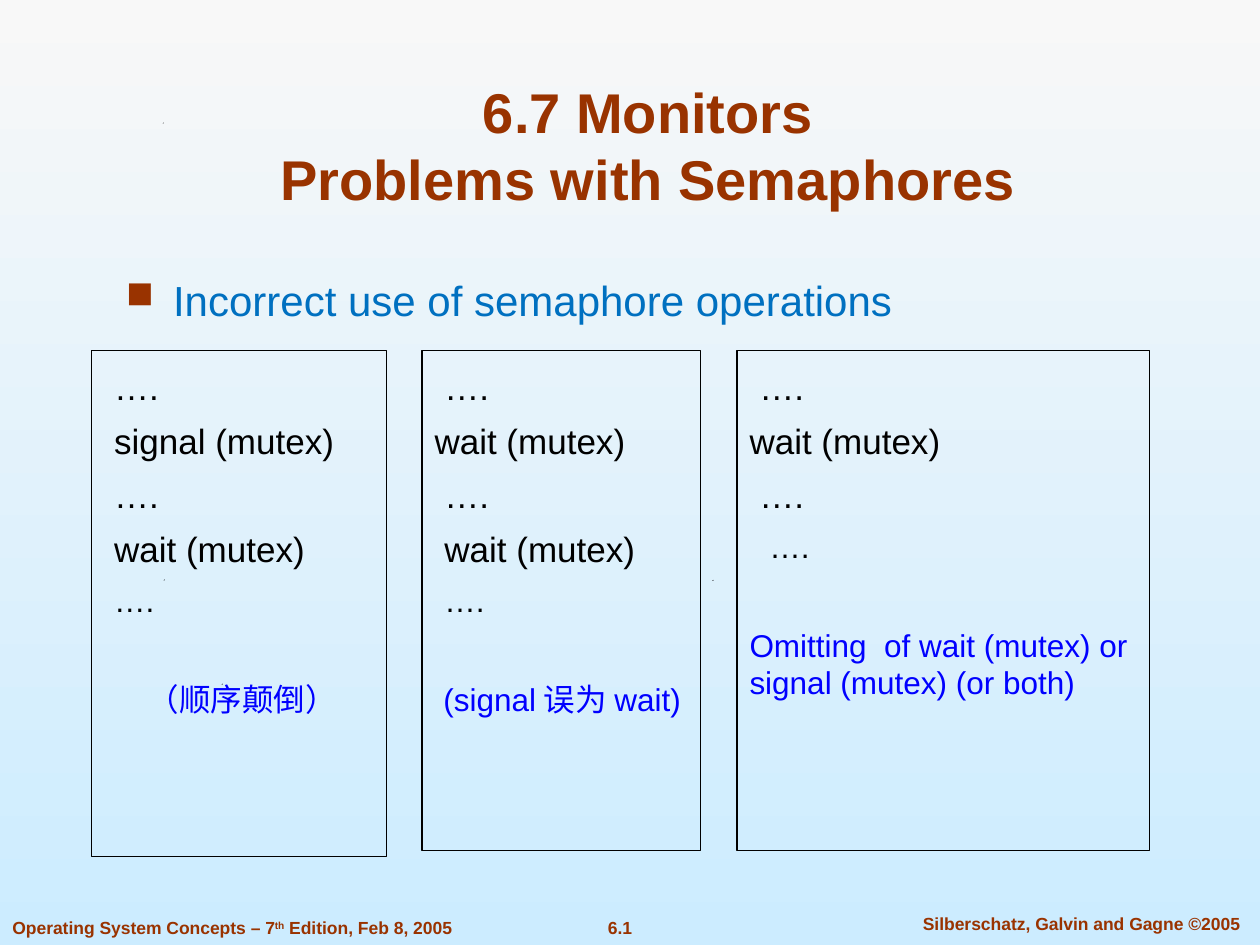
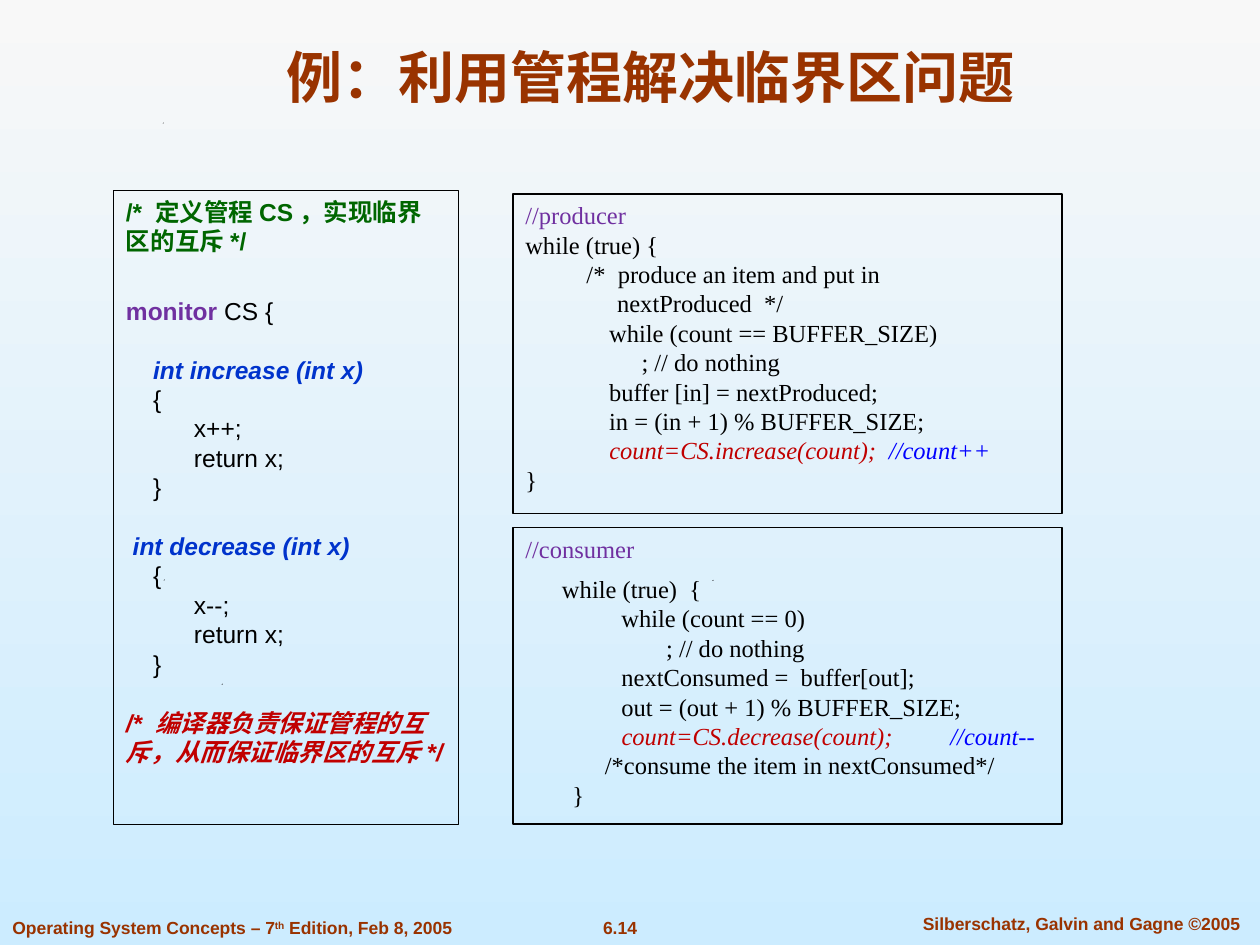
from dataclasses import dataclass

from lxml import etree
from pptx import Presentation
from pptx.dml.color import RGBColor
from pptx.enum.shapes import MSO_SHAPE as Shape
from pptx.enum.text import MSO_ANCHOR as Anchor, MSO_AUTO_SIZE as AutoSize, PP_ALIGN as Align
from pptx.oxml.ns import qn
from pptx.util import Cm, Pt


@dataclass(frozen=True)
class Theme:
    # Colours
    sky_top: str = "F8F8F8"
    sky_bottom: str = "CCECFF"
    brand: str = "993300"
    heading: str = "0070C0"
    ink: str = "000000"
    blue: str = "0000FF"
    purple: str = "7030A0"
    red: str = "C00000"
    green: str = "006600"
    method: str = "0033CC"
    # Fonts and type sizes
    sans: str = "Arial"
    serif: str = "Times New Roman"
    title: int = 32
    bullet: int = 24
    operation: int = 20
    caption: int = 18
    code: int = 14
    footer: int = 10
    # Spacing
    code_gap: float = 16.8
    hanging: float = 0.95


THEME = Theme()

# Formats of code segments
CODE_STYLES = {
    "plain": {},
    "comment": dict(color=THEME.purple),
    "call": dict(color=THEME.red, italic=True),
    "effect": dict(color=THEME.blue, italic=True),
    "spaced": dict(before=6),
    "note": dict(color=THEME.green, bold=True, hanging=0),
    "keyword": dict(color=THEME.purple, bold=True, before=23),
    "method": dict(color=THEME.method, bold=True, italic=True, before=THEME.code_gap),
    "warning": dict(color=THEME.red, bold=True, italic=True, hanging=0,
                    before=THEME.code_gap),
}


def method_lines(name, statement):
    """Lines of one monitor procedure."""
    return [
        [("method", name)],
        "    {",
        f"          {statement}",
        "          return x;",
        "    }",
    ]


MONITOR_CODE = [
    [("note", "/* 定义管程CS，实现临界区的互斥*/")],
    [("keyword", "monitor "), ("plain", "CS {")],
    *method_lines("    int increase (int x)", "x++;"),
    *method_lines(" int decrease (int x)", "x--;"),
    [("warning", "/* 编译器负责保证管程的互斥，从而保证临界区的互斥*/")],
]

PRODUCER_CODE = [
    [("comment", "//producer")],
    "while (true) {",
    "          /*  produce an item and put in",
    "               nextProduced  */",
    "\t      while (count == BUFFER_SIZE)",
    "\t\t ; // do nothing",
    "\t      buffer [in] = nextProduced;",
    "\t      in = (in + 1) % BUFFER_SIZE;",
    [("plain", "\t      "), ("call", "count=CS.increase(count);  "), ("effect", "//count++")],
    "}",
]

CONSUMER_CODE = [
    [("comment", "//consumer")],
    [("spaced", "      while (true)  {")],
    "\t        while (count == 0)",
    "                       ; // do nothing",
    "\t        nextConsumed =  buffer[out];",
    "\t        out = (out + 1) % BUFFER_SIZE;",
    [("plain", "\t        "), ("call", "count=CS.decrease(count); \t"), ("effect", "//count--")],
    "             /*consume the item in nextConsumed*/",
    "\t}",
]


def rgb(color):
    return RGBColor.from_string(color)


def write(frame, text, *, size, color=THEME.ink, font=THEME.sans, bold=False, italic=False,
          align=Align.LEFT, before=0, left=0, hanging=0, same_line=False, raised=False):
    """Add text as a new paragraph, or as a further run of the last one."""
    paragraph = frame.paragraphs[-1]
    if not same_line:
        if paragraph.runs:
            paragraph = frame.add_paragraph()
        paragraph.alignment = align
        paragraph.space_before = Pt(before)
        properties = paragraph._p.get_or_add_pPr()
        properties.set("marL", str(Cm(left + hanging)))
        properties.set("indent", str(-Cm(hanging)))
    run = paragraph.add_run()
    run.text = text
    run.font.name = font
    run.font.size = Pt(size)
    run.font.bold = bold
    run.font.italic = italic
    run.font.color.rgb = rgb(color)
    if raised:
        run._r.get_or_add_rPr().set("baseline", "30000")
    return paragraph


def add_bullet(paragraph, character, color, percent):
    properties = paragraph._p.get_or_add_pPr()
    bullet_color = etree.SubElement(properties, qn("a:buClr"))
    etree.SubElement(bullet_color, qn("a:srgbClr"), val=color)
    etree.SubElement(properties, qn("a:buSzPct"), val=str(percent * 1000))
    etree.SubElement(properties, qn("a:buChar"), char=character)


def add_text_frame(slide, left, top, width, height):
    box = slide.shapes.add_textbox(Cm(left), Cm(top), Cm(width), Cm(height))
    box.text_frame.word_wrap = True
    return box.text_frame


def add_outlined_box(slide, left, top, width, height):
    """Draw an unfilled box and return its text frame."""
    box = slide.shapes.add_shape(Shape.RECTANGLE, Cm(left), Cm(top), Cm(width), Cm(height))
    box.shadow.inherit = False
    box.fill.background()
    box.line.color.rgb = rgb(THEME.ink)
    box.line.width = Pt(0.75)
    frame = box.text_frame
    frame.word_wrap = True
    frame.vertical_anchor = Anchor.TOP
    return frame


def add_speck(slide, left, top):
    size = Cm(0.02)
    x, y = Cm(left), Cm(top)
    builder = slide.shapes.build_freeform(x, y + size)
    builder.add_line_segments([(x + size, y), (x + size, y + size)], close=True)
    speck = builder.convert_to_shape()
    speck.shadow.inherit = False
    speck.fill.solid()
    speck.fill.fore_color.rgb = rgb(THEME.ink)
    speck.line.fill.background()


def add_footers(slide, number):
    style = dict(size=THEME.footer, color=THEME.brand, bold=True)
    write(add_text_frame(slide, 11.8, 18.36, 1.4, 0.69), number, align=Align.CENTER, **style)
    write(add_text_frame(slide, 18.03, 18.29, 7.54, 0.69),
          "Silberschatz, Galvin and Gagne ©2005", align=Align.CENTER, **style)
    edition = add_text_frame(slide, 0, 18.36, 9.6, 0.69)
    write(edition, "Operating System Concepts – 7", **style)
    write(edition, "th", same_line=True, raised=True, **style)
    write(edition, " Edition, Feb 8, 2005", same_line=True, **style)


def set_background(master):
    fill = master.background.fill
    fill.gradient()
    fill.gradient_angle = 270
    for stop, color, position in zip(fill.gradient_stops,
                                     (THEME.sky_top, THEME.sky_bottom), (0, 1)):
        stop.color.rgb = rgb(color)
        stop.position = position


def add_slide(presentation, number, title_lines, left, top, height):
    """Start a slide with the shared specks, footers and title style."""
    slide = presentation.slides.add_slide(presentation.slide_layouts[5])
    for speck in ((4.47, 13.78), (3.3, 11.68), (14.36, 11.69), (3.28, 2.47)):
        add_speck(slide, *speck)
    add_footers(slide, number)
    title = slide.shapes.title
    title.left, title.top, title.width, title.height = map(Cm, (left, top, 22.43, height))
    frame = title.text_frame
    frame.auto_size = AutoSize.NONE
    frame.vertical_anchor = Anchor.BOTTOM
    for line in title_lines:
        write(frame, line, size=THEME.title, color=THEME.brand, bold=True, align=Align.CENTER)
    return slide


def add_misuse_box(slide, place, operations, caption, caption_left):
    """Box with (indent, text) operations, a closing ellipsis and a caption."""
    frame = add_outlined_box(slide, *place)
    frame.margin_top = Cm(0.3)
    last = len(operations) - 1
    for index, (left, text) in enumerate(operations):
        size = THEME.caption if index == last else THEME.operation
        write(frame, text, size=size, left=left, before=0.35 * size if index else 0)
    write(frame, caption, size=THEME.caption, color=THEME.blue, left=caption_left, before=35)


def add_code_box(slide, place, lines, font):
    """Box of code; a line is plain text or a list of (style, text) segments."""
    frame = add_outlined_box(slide, *place)
    for line in lines:
        segments = [("plain", line)] if isinstance(line, str) else line
        for index, (style, text) in enumerate(segments):
            options = dict(hanging=THEME.hanging) | CODE_STYLES[style]
            write(frame, text, size=THEME.code, font=font, same_line=index > 0, **options)


def build_semaphore_slide(presentation):
    slide = add_slide(presentation, "6.1", ["6.7 Monitors", "Problems with Semaphores"],
                      1.85, 1.2, 3.2)
    heading = write(add_text_frame(slide, 2.29, 5.41, 19.33, 1.6),
                    "Incorrect use of semaphore operations", size=THEME.bullet,
                    color=THEME.heading, hanging=THEME.hanging)
    add_bullet(heading, "■", THEME.brand, 90)

    # Three kinds of misuse, side by side
    dots, step = "….", 0.2
    wait = "wait (mutex)"
    add_misuse_box(slide, (1.85, 7.06, 5.94, 10.21),
                   [(step, dots), (step, "signal (mutex)"), (step, dots), (step, wait),
                    (step, dots)],
                   "（顺序颠倒）", 0.88)
    add_misuse_box(slide, (8.51, 7.06, 5.61, 10.08),
                   [(step, dots), (0, wait), (step, dots), (step, wait), (step, dots)],
                   "(signal误为wait)", 0.18)
    add_misuse_box(slide, (14.86, 7.06, 8.31, 10.08),
                   [(step, dots), (0, wait), (step, dots), (2 * step, dots)],
                   "Omitting  of wait (mutex) or signal (mutex) (or both)", 0)


def build_monitor_slide(presentation):
    slide = add_slide(presentation, "6.14", ["例：利用管程解决临界区问题"], 1.9, 0.64, 1.7)
    # Monitor on the left, its two users on the right
    add_code_box(slide, (2.29, 3.84, 6.96, 12.78), MONITOR_CODE, THEME.sans)
    add_code_box(slide, (10.34, 3.91, 11.07, 6.45), PRODUCER_CODE, THEME.serif)
    add_code_box(slide, (10.34, 10.64, 11.07, 5.97), CONSUMER_CODE, THEME.serif)


def main():
    presentation = Presentation()
    presentation.slide_width, presentation.slide_height = Cm(25.4), Cm(19.05)
    set_background(presentation.slide_master)
    build_semaphore_slide(presentation)
    build_monitor_slide(presentation)
    presentation.save("out.pptx")


if __name__ == "__main__":
    main()
